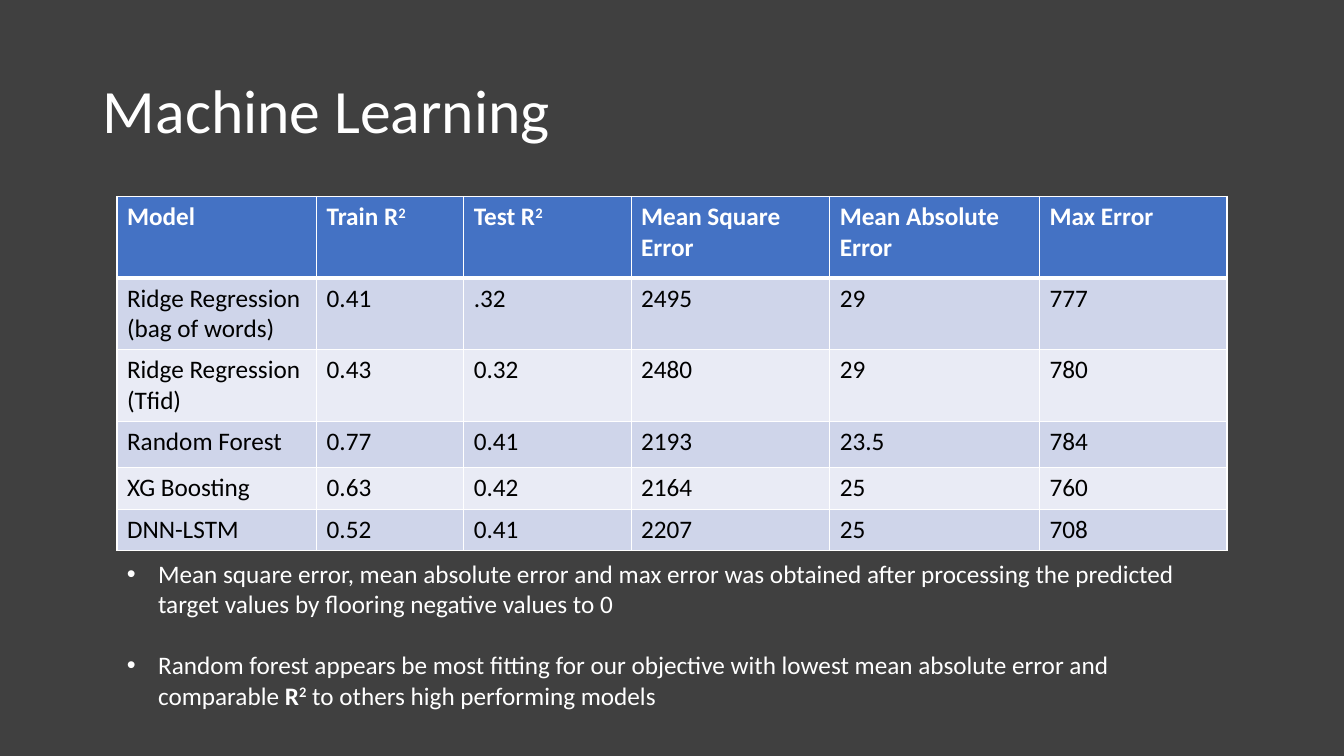
from lxml import etree
from pptx import Presentation
from pptx.dml.color import RGBColor
from pptx.enum.text import MSO_ANCHOR, MSO_AUTO_SIZE, PP_ALIGN
from pptx.oxml.ns import qn
from pptx.util import Inches, Pt

LEFT = PP_ALIGN.LEFT
MIDDLE = MSO_ANCHOR.MIDDLE
FIXED = MSO_AUTO_SIZE.NONE
WHITE, BLACK, GREY = "FFFFFF", "000000", "404040"
BLUE, BANDS = "4472C4", ("CFD5EA", "E9EBF5")
PLAIN, BOLD = {"bold": False}, {"bold": True}

HEAD = ["Model", "Train R^2", "Test R^2", "Mean Square Error",
        "Mean Absolute Error", "Max Error"]
MODELS = [
    ["Ridge Regression (bag of words)", "0.41", ".32", "2495", "29", "777"],
    ["Ridge Regression (Tfid)", "0.43", "0.32", "2480", "29", "780"],
    ["Random Forest", "0.77", "0.41", "2193", "23.5", "784"],
    ["XG Boosting", "0.63", "0.42", "2164", "25", "760"],
    ["DNN-LSTM", "0.52", "0.41", "2207", "25", "708"],
]
WIDTHS = [1.98, 1.46, 1.66, 1.97, 2.08, 1.86]
HEIGHTS = [0.81, 0.71, 0.71, 0.46, 0.41, 0.41]
NOTES = [
    [("Mean square error, mean absolute error and max error was obtained "
      "after processing the predicted target values by flooring negative "
      "values to 0", PLAIN)],
    [("Random forest appears be most fitting for our objective with lowest "
      "mean absolute error and comparable ", PLAIN),
     ("R^2", BOLD),
     (" to others high performing models", PLAIN)],
]


def color(code):
    return RGBColor.from_string(code)


def place(item, box):
    for name, size in zip(("left", "top", "width", "height"), box):
        setattr(item, name, Inches(size))


class Board:
    def __init__(self, deck, font):
        self.slide = deck.slides.add_slide(deck.slide_layouts[5])
        self.font = font

    def back(self, code):
        fill = self.slide.background.fill
        fill.solid()
        fill.fore_color.rgb = color(code)

    def words(self, para, text, code, look):
        base, _, power = text.partition("^")
        for part, lift in ((base, False), (power, True)):
            if not part:
                continue
            run = para.add_run()
            run.text = part
            style = {"name": self.font, "size": Pt(18), **look}
            for name, value in style.items():
                setattr(run.font, name, value)
            run.font.color.rgb = color(code)
            if lift:
                run._r.get_or_add_rPr().set("baseline", "30000")

    def title(self, text, box):
        shape = self.slide.shapes.title
        place(shape, box)
        frame = shape.text_frame
        look = {"vertical_anchor": MIDDLE, "word_wrap": True, "auto_size": FIXED}
        for name, value in look.items():
            setattr(frame, name, value)
        para = frame.paragraphs[0]
        para.alignment = LEFT
        para.line_spacing = 0.9
        self.words(para, text, WHITE, {"size": Pt(44)})

    def edge(self, cell, side, width):
        props = cell._tc.get_or_add_tcPr()
        line = etree.SubElement(props, qn("a:ln" + side), w=str(Pt(width)))
        fill = etree.SubElement(line, qn("a:solidFill"))
        etree.SubElement(fill, qn("a:srgbClr"), val=WHITE)

    def table(self, rows, left, top):
        box = [Inches(n) for n in (left, top, sum(WIDTHS), sum(HEIGHTS))]
        grid = self.slide.shapes.add_table(len(rows), len(WIDTHS), *box).table
        for col, width in zip(grid.columns, WIDTHS):
            col.width = Inches(width)
        for row, height in zip(grid.rows, HEIGHTS):
            row.height = Inches(height)
        for i, row in enumerate(rows):
            head = i == 0
            tint = BLUE if head else BANDS[(i - 1) % 2]
            for j, text in enumerate(row):
                cell = grid.cell(i, j)
                for side in "LRTB":
                    thick = (i, side) in ((0, "B"), (1, "T"))
                    self.edge(cell, side, 3 if thick else 1)
                cell.fill.solid()
                cell.fill.fore_color.rgb = color(tint)
                self.words(cell.text_frame.paragraphs[0], text,
                           WHITE if head else BLACK, {"bold": head})

    def points(self, items, box):
        shape = self.slide.shapes.add_textbox(*[Inches(n) for n in box])
        frame = shape.text_frame
        frame.word_wrap = True
        for i, parts in enumerate(items):
            para = frame.add_paragraph() if i else frame.paragraphs[0]
            para.space_before = Pt(22 if i else 0)
            props = para._p.get_or_add_pPr()
            dent = Inches(0.31)
            props.set("marL", str(dent))
            props.set("indent", str(-dent))
            etree.SubElement(props, qn("a:buFont"), typeface="Arial")
            etree.SubElement(props, qn("a:buChar"), char="•")
            for text, look in parts:
                self.words(para, text, WHITE, look)


deck = Presentation()
deck.slide_width, deck.slide_height = Inches(13.33), Inches(7.5)
board = Board(deck, "Calibri")
board.back(GREY)
board.title("Machine Learning", (0.92, 0.4, 11.5, 1.45))
board.table([HEAD] + MODELS, 1.16, 1.95)
board.points(NOTES, (1.16, 5.49, 11.01, 1.62))
deck.save("out.pptx")
